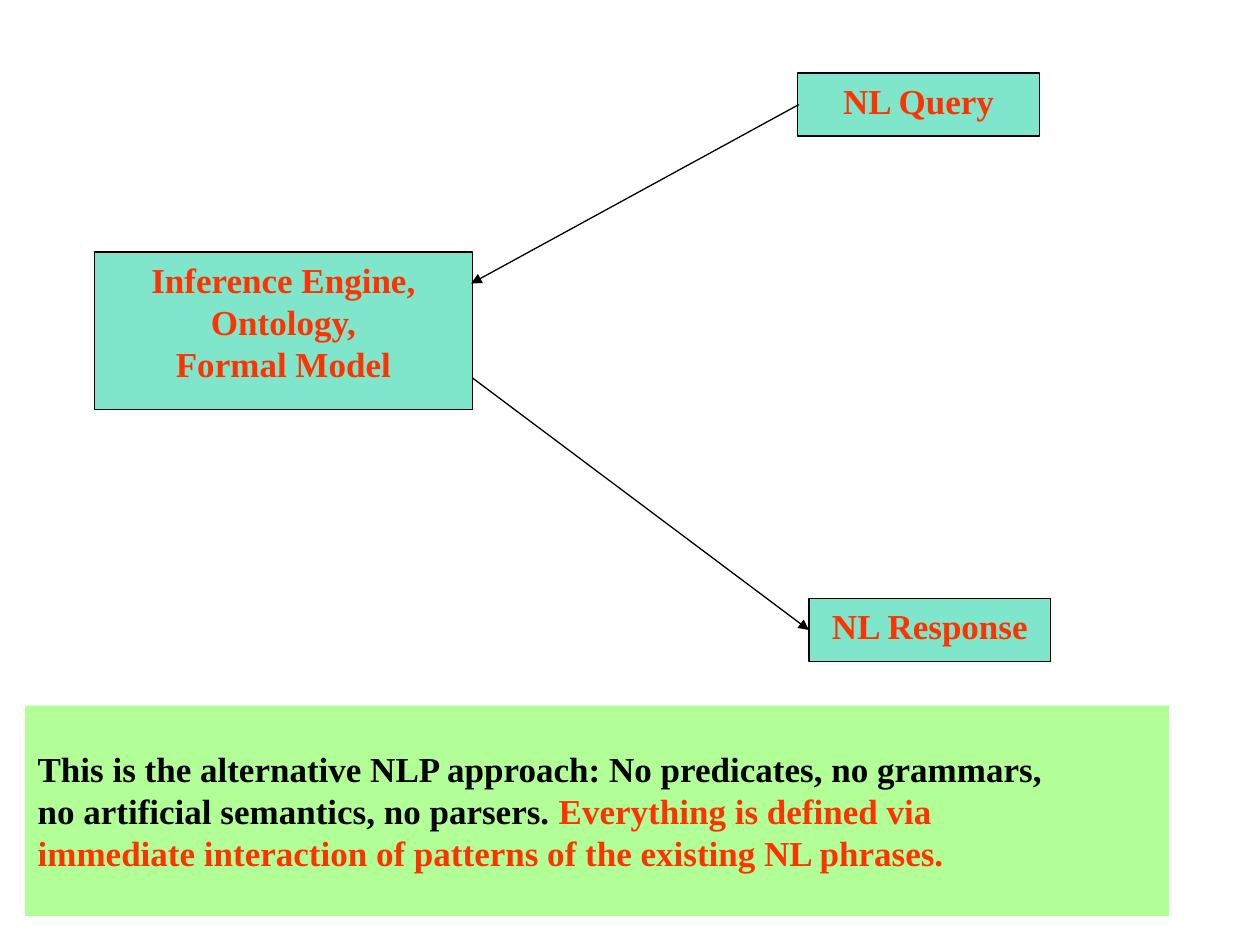
import pptx
import pptx.util
import pptx.dml.color
import pptx.enum.shapes
import pptx.enum.text
import pptx.oxml
import pptx.oxml.ns
from lxml import etree

Inches = pptx.util.Inches
Shape = pptx.enum.shapes.MSO_SHAPE
Align = pptx.enum.text.PP_ALIGN
Anchor = pptx.enum.text.MSO_ANCHOR

THEME = {
    "font": "Times New Roman",
    "size": pptx.util.Pt(20),
    "line": pptx.util.Pt(0.75),
    "teal": "00CC99",
    "green": "66FF33",
    "red": "FF3300",
    "black": "000000",
    "alpha": "50000",
}


def rgb(name):
    return pptx.dml.color.RGBColor.from_string(THEME[name])


def add_box(slide, place, fill, lines, align, anchor):
    """Add a half-transparent box; each line is a list of (text, colour) runs."""
    box = slide.shapes.add_shape(Shape.RECTANGLE, *map(Inches, place))
    box.shadow.inherit = False
    box.fill.solid()
    box.fill.fore_color.rgb = rgb(fill)
    tint = box.fill._xPr.find(".//" + pptx.oxml.ns.qn("a:srgbClr"))
    etree.SubElement(tint, pptx.oxml.ns.qn("a:alpha"), val=THEME["alpha"])
    frame = box.text_frame
    frame.word_wrap = True
    frame.vertical_anchor = anchor
    frame.text = "\n".join("" for _ in lines)
    for para, runs in zip(frame.paragraphs, lines):
        para.alignment = align
        for text, color in runs:
            run = para.add_run()
            run.text = text
            run.font.name = THEME["font"]
            run.font.size = THEME["size"]
            run.font.bold = True
            run.font.color.rgb = rgb(color)
    return box


deck = pptx.Presentation()
deck.slide_width, deck.slide_height = Inches(10), Inches(7.5)
slide = deck.slides.add_slide(deck.slide_layouts[6])

# Query, engine and response
nodes = [
    ((6.33, 0.58, 1.92, 0.5), ["NL Query"]),
    ((0.75, 2, 3, 1.25), ["Inference Engine,", "Ontology,", "Formal Model"]),
    ((6.42, 4.75, 1.92, 0.5), ["NL Response"]),
]
for place, texts in nodes:
    lines = [[(text, "red")] for text in texts]
    node = add_box(slide, place, "teal", lines, Align.CENTER, Anchor.TOP)
    node.line.color.rgb = rgb("black")
    node.line.width = THEME["line"]

# Arrows out of and into the engine
arrows = [(3.75, 3, 6.42, 5), (6.34, 0.83, 3.74, 2.25)]
for ends in arrows:
    arrow = slide.shapes.add_connector(
        pptx.enum.shapes.MSO_CONNECTOR.STRAIGHT, *map(Inches, ends))
    arrow.line.color.rgb = rgb("black")
    arrow.line.width = THEME["line"]
    stroke = arrow.line._get_or_add_ln()
    etree.SubElement(stroke, pptx.oxml.ns.qn("a:tailEnd"), type="triangle")
    etree.SubElement(arrow._element.spPr, pptx.oxml.ns.qn("a:effectLst"))

# Summary
summary = [
    [("This is the alternative NLP approach: No predicates, no grammars,", "black")],
    [("no artificial semantics, no parsers. ", "black"),
     ("Everything is defined via", "red")],
    [("immediate interaction of patterns of the existing NL phrases.", "red")],
]
note = add_box(slide, (0.2, 5.6, 9.08, 1.67), "green", summary,
               Align.LEFT, Anchor.MIDDLE)
note.line.fill.background()

deck.save("out.pptx")
